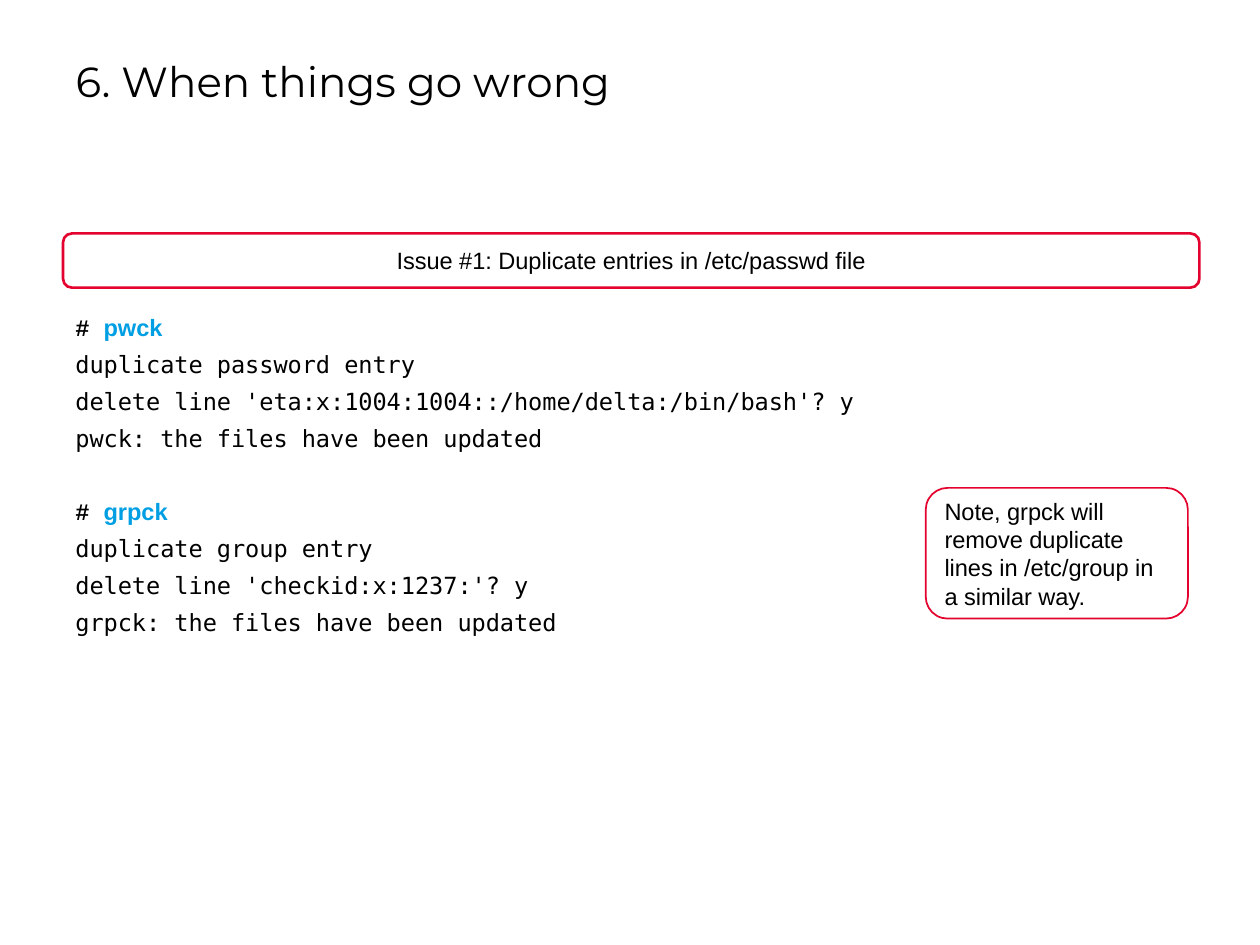
from pptx import Presentation
from pptx.dml.color import RGBColor
from pptx.enum.shapes import MSO_SHAPE
from pptx.enum.text import MSO_ANCHOR, MSO_AUTO_SIZE, PP_ALIGN
from pptx.util import Pt

COLORS = {"ink": "000000", "paper": "FFFFFF", "red": "E4032E", "blue": "009FE3"}
HEAD = {"name": "Montserrat", "size": Pt(24), "bold": False}
TEXT = {"name": "Arial", "size": Pt(13.5), "bold": False}
CODE = {**TEXT, "name": "DejaVu Sans Mono"}
PROMPT = {**TEXT, "name": "Courier New", "bold": True}
COMMAND = {**TEXT, "bold": True}

SESSIONS = [
    ("pwck", [
        "duplicate password entry",
        "delete line 'eta:x:1004:1004::/home/delta:/bin/bash'? y",
        "pwck: the files have been updated",
    ]),
    ("grpck", [
        "duplicate group entry",
        "delete line 'checkid:x:1237:'? y",
        "grpck: the files have been updated",
    ]),
]


def color(key):
    return RGBColor.from_string(COLORS[key])


class Deck:
    def __init__(self, wide, high):
        self.file = Presentation()
        self.file.slide_width, self.file.slide_height = Pt(wide), Pt(high)
        self.slide = self.file.slides.add_slide(self.file.slide_layouts[5])
        self.gap = Pt(5)

    def frame(self, shape, anchor):
        frame = shape.text_frame
        values = {"word_wrap": True, "auto_size": MSO_AUTO_SIZE.NONE,
                  "vertical_anchor": anchor}
        for key, value in values.items():
            setattr(frame, key, value)
        return frame

    def run(self, para, text, style, ink="ink"):
        run = para.add_run()
        run.text = text
        for key, value in style.items():
            setattr(run.font, key, value)
        run.font.color.rgb = color(ink)

    def title(self, text, left, top, width, height):
        shape = self.slide.shapes.title
        box = {"left": left, "top": top, "width": width, "height": height}
        for key, value in box.items():
            setattr(shape, key, Pt(value))
        para = self.frame(shape, MSO_ANCHOR.TOP).paragraphs[0]
        para.alignment = PP_ALIGN.LEFT
        self.run(para, text, HEAD)

    def panel(self, text, box, line, align):
        shape = self.slide.shapes.add_shape(
            MSO_SHAPE.ROUNDED_RECTANGLE, *map(Pt, box))
        shape.shadow.inherit = False
        shape.fill.solid()
        shape.fill.fore_color.rgb = color("paper")
        shape.line.color.rgb = color("red")
        shape.line.width = Pt(line)
        para = self.frame(shape, MSO_ANCHOR.MIDDLE).paragraphs[0]
        para.alignment = align
        self.run(para, text, TEXT)

    def console(self, sessions, box):
        """Write each command after a prompt, followed by its output."""
        shape = self.slide.shapes.add_textbox(*map(Pt, box))
        frame = self.frame(shape, MSO_ANCHOR.TOP)
        for index, (command, output) in enumerate(sessions):
            para = frame.add_paragraph() if index else frame.paragraphs[0]
            para.space_after = self.gap
            if index:
                para.space_before = Pt(20.7)
            self.run(para, "# ", PROMPT)
            self.run(para, command, COMMAND, "blue")
            for line in output:
                para = frame.add_paragraph()
                para.space_after = self.gap
                self.run(para, line, CODE)


def main():
    left, width = 36, 649.4
    deck = Deck(720, 540)
    deck.title("6. When things go wrong", left, 28, width, 36)
    deck.console(SESSIONS, (left, 175, 478.8, 216))
    deck.panel("Note, grpck will remove duplicate lines in /etc/group in "
               "a similar way.", (529, 278.8, 149.8, 74.7), 1, PP_ALIGN.LEFT)
    deck.panel("Issue #1: Duplicate entries in /etc/passwd file",
               (left, 133.4, width, 31), 1.5, PP_ALIGN.CENTER)
    deck.file.save("out.pptx")


if __name__ == "__main__":
    main()
